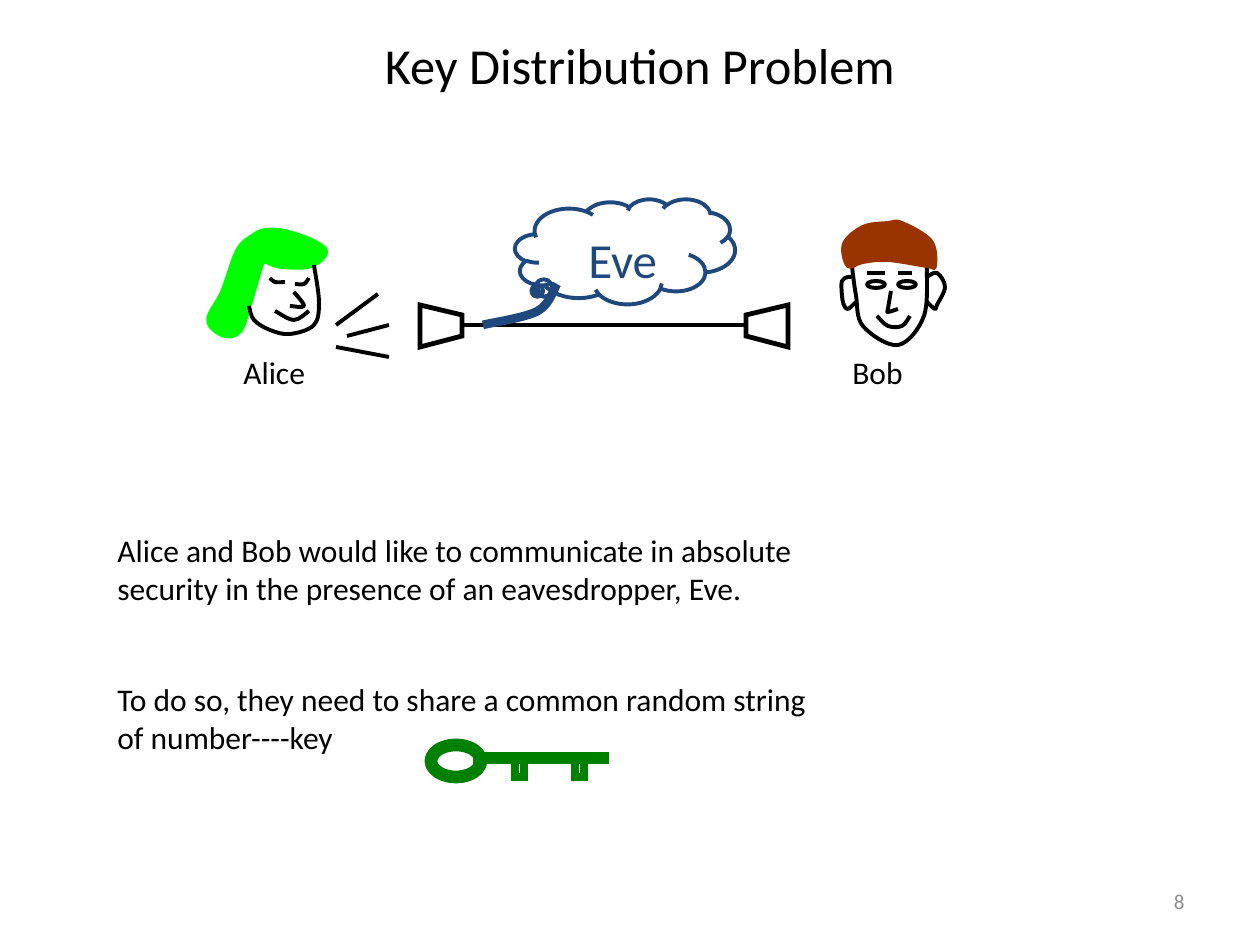
"""Builds the slide that introduces the key distribution problem."""
from lxml.etree import SubElement
from pptx import Presentation
from pptx.dml.color import RGBColor
from pptx.enum.shapes import MSO_CONNECTOR, MSO_SHAPE
from pptx.enum.text import MSO_ANCHOR as ANCHOR, MSO_AUTO_SIZE as AUTO_SIZE, PP_ALIGN as ALIGN
from pptx.oxml.ns import qn
from pptx.util import Pt

PIXEL = 914400 // 126
FONT = "Calibri"
COLORS = {"black": "000000", "gray": "8C8C8C", "lime": "00FF00", "brown": "993300",
          "navy": "1F497D", "green": "008000"}

NUMBER = (["8"], (903, 876, 294, 50), 12, "gray", ALIGN.RIGHT, True)
TITLE = (["Key Distribution Problem"], (136, 32, 1008, 65), 28.8, "black", ALIGN.CENTER, True)
ALICE_NAME = (["Alice"], (231, 347, 88, 50), 18, "black", ALIGN.LEFT, False)
BOB_NAME = (["Bob"], (840, 347, 77, 50), 18, "black", ALIGN.LEFT, False)
EVE_NAME = (["Eve"], (576, 223, 95, 72), 28, "navy", ALIGN.LEFT, False)
GOAL = (["Alice and Bob would like to communicate in absolute",
         "security in the presence of an eavesdropper, Eve."],
        (105, 525, 930, 89), 18, "black", ALIGN.LEFT, True)
NEED = (["To do so, they need to share a common random string", "of number----key"],
        (105, 674, 1018, 89), 18, "black", ALIGN.LEFT, True)

ALICE_HAIR = [(280, 232), (265, 232), (254, 237), (239, 251), (224, 292), (210, 320),
              (224, 334), (239, 330), (249, 302), (260, 265), (265, 260), (280, 265),
              (309, 265), (324, 254), (319, 246), (299, 237)]
BOB_HAIR = [(888, 223), (863, 227), (844, 244), (848, 266), (863, 262), (888, 260),
            (927, 266), (935, 266), (931, 241), (902, 223)]
ALICE = {
    "face": [(249, 306), (254, 320), (270, 330), (290, 334), (314, 325), (319, 302), (314, 265)],
    "left eye": [(270, 278), (275, 282), (285, 282)],
    "right eye": [(295, 284), (304, 284), (309, 278)],
    "nose": [(294, 292), (304, 306), (290, 306)],
    "mouth": [(275, 311), (294, 320), (309, 311)],
}
BOB = {
    "face": [(852, 266), (856, 295), (863, 326), (898, 345), (924, 316), (927, 266)],
    "left brow": [(867, 273), (869, 273), (881, 273), (885, 273)],
    "right brow": [(898, 273), (912, 273)],
    "nose": [(891, 291), (888, 309), (888, 312), (898, 309)],
    "mouth": [(877, 316), (888, 326), (902, 326), (910, 316)],
}
BOB_EARS = [
    [(852, 277), (848, 277), (842, 281), (842, 295), (844, 305), (848, 309), (856, 302)],
    [(927, 277), (937, 273), (945, 287), (937, 305), (935, 309), (927, 302)],
]
BOB_EYES = [(867, 281, 18, 7), (898, 281, 18, 7)]
EVE_TAP = [(483, 325), (538, 311), (557, 284)]
EVE_CLOUD = (515, 199, 220, 105)
CLOUD_TAIL = (-0.404, 0.38)
HORN = [(420, 347), (462, 336), (462, 315), (420, 305)]
CHANNEL = ((462, 325), (746, 325))
VOICE = [((336, 325), (378, 294)), ((347, 336), (389, 325)), ((336, 347), (389, 357))]
KEY_BOW = (431, 745, 50, 32)
KEY_STEM = ((473, 758), (609, 758))
KEY_TEETH = [(515, 758, 9, 19), (575, 758, 9, 19)]

presentation = Presentation()
presentation.slide_width = 1260 * PIXEL
presentation.slide_height = 945 * PIXEL
slide = presentation.slides.add_slide(presentation.slide_layouts[6])


def rgb(color):
    return RGBColor.from_string(COLORS[color])


def emu(values):
    return [value * PIXEL for value in values]


def style_outline(shape, color, width, filled=False):
    shape.shadow.inherit = False
    if filled:
        shape.fill.solid()
        shape.fill.fore_color.rgb = rgb(color)
    else:
        shape.fill.background()
    shape.line.color.rgb = rgb(color)
    shape.line.width = Pt(width)


def miter(shape):
    SubElement(shape.line._get_or_add_ln(), qn("a:miter"), lim="800000")


def bend(shape, points, closed):
    """Turns the straight segments of a shape into one smooth curve."""
    count = len(points)
    left, top = (min(axis) for axis in zip(*points))

    def knot(index):
        return points[index % count if closed else min(max(index, 0), count - 1)]

    for index, segment in enumerate(list(shape._element.iter(qn("a:lnTo")))):
        before, start, end, after = (knot(index + shift) for shift in (-1, 0, 1, 2))
        handles = [
            [b + (c - a) / 6 for a, b, c in zip(before, start, end)],
            [b + (a - c) / 6 for a, b, c in zip(start, end, after)],
            end,
        ]
        curve = segment.makeelement(qn("a:cubicBezTo"))
        for x, y in handles:
            SubElement(curve, qn("a:pt"), x=str(round((x - left) * PIXEL)),
                       y=str(round((y - top) * PIXEL)))
        segment.getparent().replace(segment, curve)


def add_outline(shapes, points, color, width, closed=False):
    start, *rest = [emu(point) for point in points]
    builder = shapes.build_freeform(*start)
    builder.add_line_segments(rest, close=closed)
    shape = builder.convert_to_shape()
    style_outline(shape, color, width)
    return shape


def add_curve(shapes, points, color="black", width=2.25, filled=False):
    loop = points + points[:1] if filled else points
    shape = add_outline(shapes, loop, color, width, closed=filled)
    style_outline(shape, color, width, filled)
    bend(shape, points, filled)


def add_line(shapes, start, end, color, width):
    line = shapes.add_connector(MSO_CONNECTOR.STRAIGHT, *emu(start + end))
    line.line.color.rgb = rgb(color)
    line.line.width = Pt(width)
    SubElement(line._element.spPr, qn("a:effectLst"))


def add_shape(shapes, kind, box, color, width):
    shape = shapes.add_shape(kind, *emu(box))
    style_outline(shape, color, width)
    return shape


def add_text(shapes, content, anchor=ANCHOR.TOP, grow=True):
    lines, box, size, color, align, wrap = content
    frame = shapes.add_textbox(*emu(box)).text_frame
    frame.word_wrap = wrap
    frame.auto_size = AUTO_SIZE.SHAPE_TO_FIT_TEXT if grow else AUTO_SIZE.NONE
    frame.vertical_anchor = anchor
    for index, line in enumerate(lines):
        paragraph = frame.add_paragraph() if index else frame.paragraphs[0]
        paragraph.alignment = align
        run = paragraph.add_run()
        run.text = line
        run.font.name = FONT
        run.font.size = Pt(size)
        run.font.color.rgb = rgb(color)


main = slide.shapes
add_text(main, NUMBER, ANCHOR.MIDDLE, grow=False)
add_text(main, NEED)
add_text(main, TITLE, ANCHOR.MIDDLE, grow=False)

alice = main.add_group_shape().shapes
add_curve(alice, ALICE_HAIR, "lime", 4.25, filled=True)
for feature in ALICE.values():
    add_curve(alice, feature)

bob = main.add_group_shape().shapes
for feature in BOB.values():
    add_curve(bob, feature)
for eye in BOB_EYES:
    add_shape(bob, MSO_SHAPE.OVAL, eye, "black", 2.25)
add_curve(bob, BOB_HAIR, "brown", filled=True)
for ear in BOB_EARS:
    add_curve(bob, ear)

add_text(main, ALICE_NAME)
add_text(main, BOB_NAME)
channel_ends = CHANNEL[0][0] + CHANNEL[1][0]
for horn in (HORN, [(channel_ends - x, y) for x, y in HORN]):
    miter(add_outline(main, horn, "black", 2.75, closed=True))
add_line(main, *CHANNEL, "black", 2.75)
for wave in VOICE:
    add_line(main, *wave, "black", 2.25)

add_curve(main, EVE_TAP, "navy", 5)
eve = main.add_group_shape().shapes
cloud = add_shape(eve, MSO_SHAPE.CLOUD_CALLOUT, EVE_CLOUD, "navy", 2.25)
cloud.adjustments[0], cloud.adjustments[1] = CLOUD_TAIL
add_text(eve, EVE_NAME)
add_text(main, GOAL)

key = main.add_group_shape().shapes
add_shape(key, MSO_SHAPE.OVAL, KEY_BOW, "green", 7.25)
add_line(key, *KEY_STEM, "green", 7.25)
for tooth in KEY_TEETH:
    miter(add_shape(key, MSO_SHAPE.RECTANGLE, tooth, "green", 4.5))

presentation.save("out.pptx")
